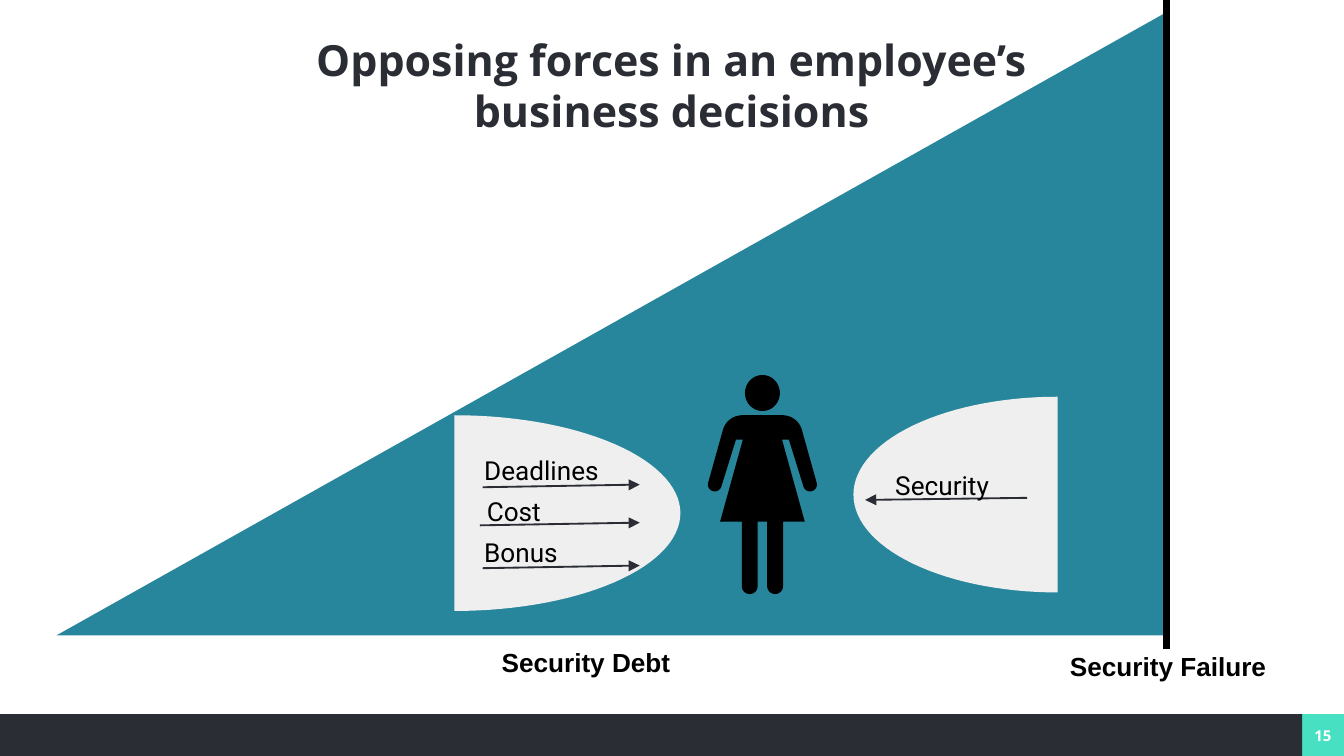
from dataclasses import dataclass
from math import cos, radians, sin

from lxml import etree
from pptx import Presentation
from pptx import util as u
from pptx.dml.color import RGBColor
from pptx.enum import shapes, text
from pptx.oxml import ns


@dataclass(frozen=True)
class Theme:
    white: str = "FFFFFF"
    black: str = "000000"
    dark: str = "2A2D34"
    mint: str = "47E0C3"
    teal: str = "27869B"
    pale: str = "EFEFEF"
    heading: str = "Open Sans"
    force: str = "Roboto"
    axis: str = "Arial"
    title_size: float = 23
    label_size: float = 14
    number_size: float = 8


T = Theme()
W, H = 25.4, 14.29


def paint(sp, colour):
    sp.shadow.inherit = False
    sp.fill.solid()
    sp.fill.fore_color.rgb = RGBColor.from_string(colour)
    sp.line.fill.background()


def add_rect(s, x, y, w, h, colour):
    sp = s.shapes.add_shape(shapes.MSO_SHAPE.RECTANGLE, *map(u.Cm, (x, y, w, h)))
    paint(sp, colour)


def add_outline(s, contours, colour):
    """Filled freeform made of closed contours, points in cm."""
    builder = None
    for contour in contours:
        first, *rest = [(u.Cm(x), u.Cm(y)) for x, y in contour]
        if builder is None:
            builder = s.shapes.build_freeform(*first)
        else:
            builder.move_to(*first)
        builder.add_line_segments(rest, close=True)
    paint(builder.convert_to_shape(), colour)


def arc(cx, cy, rx, ry, start, end, steps=24):
    angles = [radians(start + (end - start) * i / steps) for i in range(steps + 1)]
    return [(cx + rx * cos(a), cy + ry * sin(a)) for a in angles]


def add_line(s, x1, y1, x2, y2, colour, width, arrow=False):
    c = s.shapes.add_connector(shapes.MSO_CONNECTOR.STRAIGHT,
                               *map(u.Cm, (x1, y1, x2, y2)))
    c.line.color.rgb = RGBColor.from_string(colour)
    c.line.width = u.Pt(width)
    if arrow:
        etree.SubElement(c.line._get_or_add_ln(), ns.qn("a:tailEnd"), type="triangle")
    etree.SubElement(c._element.spPr, ns.qn("a:effectLst"))


def add_text(s, x, y, w, h, words, font, size, colour, bold=False,
             centred=False, middle=False, inset=0.18):
    tf = s.shapes.add_textbox(*map(u.Cm, (x, y, w, h))).text_frame
    tf.word_wrap = True
    tf.margin_left = tf.margin_right = u.Cm(inset)
    tf.margin_top = tf.margin_bottom = u.Cm(0.1 if middle else inset)
    tf.vertical_anchor = text.MSO_ANCHOR.MIDDLE if middle else text.MSO_ANCHOR.TOP
    p = tf.paragraphs[0]
    p.alignment = text.PP_ALIGN.CENTER if centred else text.PP_ALIGN.LEFT
    r = p.add_run()
    r.text = words
    r.font.name, r.font.size, r.font.bold = font, u.Pt(size), bold
    r.font.color.rgb = RGBColor.from_string(colour)


def add_half_ellipse(s, x, cy, rx, ry):
    """Flat side at x; a negative rx bulges to the left."""
    add_outline(s, [arc(x, cy, rx, ry, -90, 90, 60)], T.pale)


def add_force(s, label, label_x, label_y, label_w, x1, x2, y1, y2):
    add_line(s, x1, y1, x2, y2, T.dark, 1, arrow=True)
    add_text(s, label_x, label_y, label_w, 0.97, label, T.force, T.label_size, T.black)


def add_woman(s, cx):
    # Right half of the body, measured from the centre line
    half = (arc(0.38, 8.23, 0.38, 0.38, -90, -15)       # shoulder
            + arc(0.9, 9.16, 0.13, 0.13, -15, 165)      # hand
            + [(0.5, 8.31), (0.37, 8.31), (0.8, 9.86), (0.39, 9.86)]
            + arc(0.24, 11.08, 0.15, 0.15, 0, 180)      # foot
            + [(0.09, 9.86)])
    body = [(cx + x, y) for x, y in half] + [(cx - x, y) for x, y in reversed(half)]
    head = arc(cx, 7.43, 0.33, 0.34, 0, 360, 48)
    add_outline(s, [body, head], T.black)


def main():
    prs = Presentation()
    prs.slide_width, prs.slide_height = u.Cm(W), u.Cm(H)
    s = prs.slides.add_slide(prs.slide_layouts[6])

    # Footer with slide number
    bar = 0.79
    add_rect(s, W - bar, H - bar, bar, bar, T.mint)
    add_rect(s, 0, H - bar, W - bar, bar, T.dark)
    add_text(s, W - bar, H - bar + 0.03, bar, bar - 0.03, "15", T.heading,
             T.number_size, T.white, bold=True, centred=True, middle=True)

    # Growing debt, with the two opposing sides on it
    wall = 22.05
    add_outline(s, [[(1.07, 12.01), (wall, 0.23), (wall, 12.01)]], T.teal)
    add_half_ellipse(s, 8.59, 9.7, 4.27, 1.85)
    add_half_ellipse(s, 19.99, 9.35, -3.86, 1.85)
    add_woman(s, 14.41)

    # Forces
    for label, x, y, start, line_y in (("Deadlines", 8.97, 8.41, 9.12, 9.21),
                                       ("Cost", 9.02, 9.19, 9.07, 9.93),
                                       ("Bonus", 8.97, 9.96, 9.12, 10.74)):
        add_force(s, label, x, y, 2.62, start, 12.09, line_y, line_y - 0.05)
    add_force(s, "Security", 16.74, 8.69, 2.29, 19.41, 16.35, 9.41, 9.45)

    # Failure wall and axis labels
    add_line(s, wall, -0.03, wall, 12.27, T.black, 4)
    for label, x, y, w in (("Security Failure", 20.04, 12.12, 4.29),
                           ("Security Debt", 9.3, 12.04, 5.23)):
        add_text(s, x, y, w, 0.91, label, T.axis, T.label_size, T.black, bold=True)

    # Title
    add_text(s, 4.45, 0.53, 16.5, 2.08,
             "Opposing forces in an employee’s business decisions",
             T.heading, T.title_size, T.dark, bold=True, centred=True, inset=0.1)

    prs.save("out.pptx")


if __name__ == "__main__":
    main()
